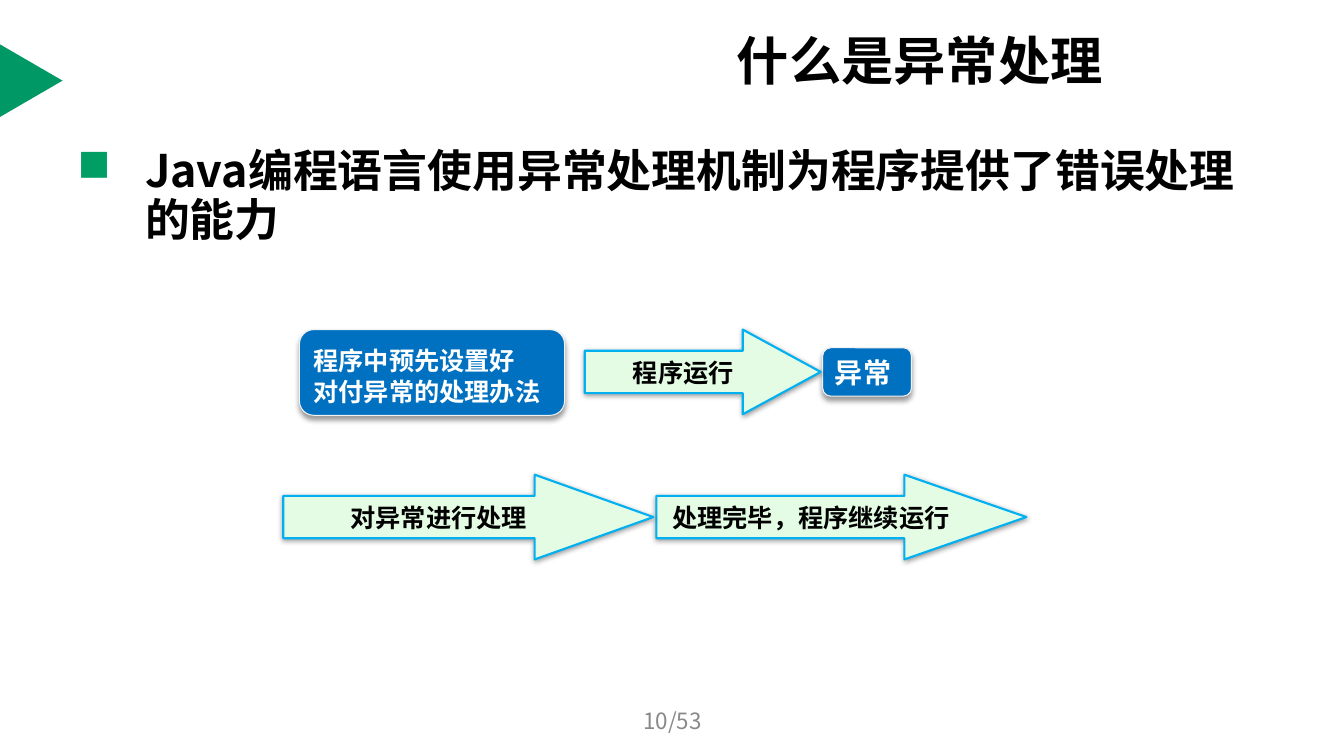
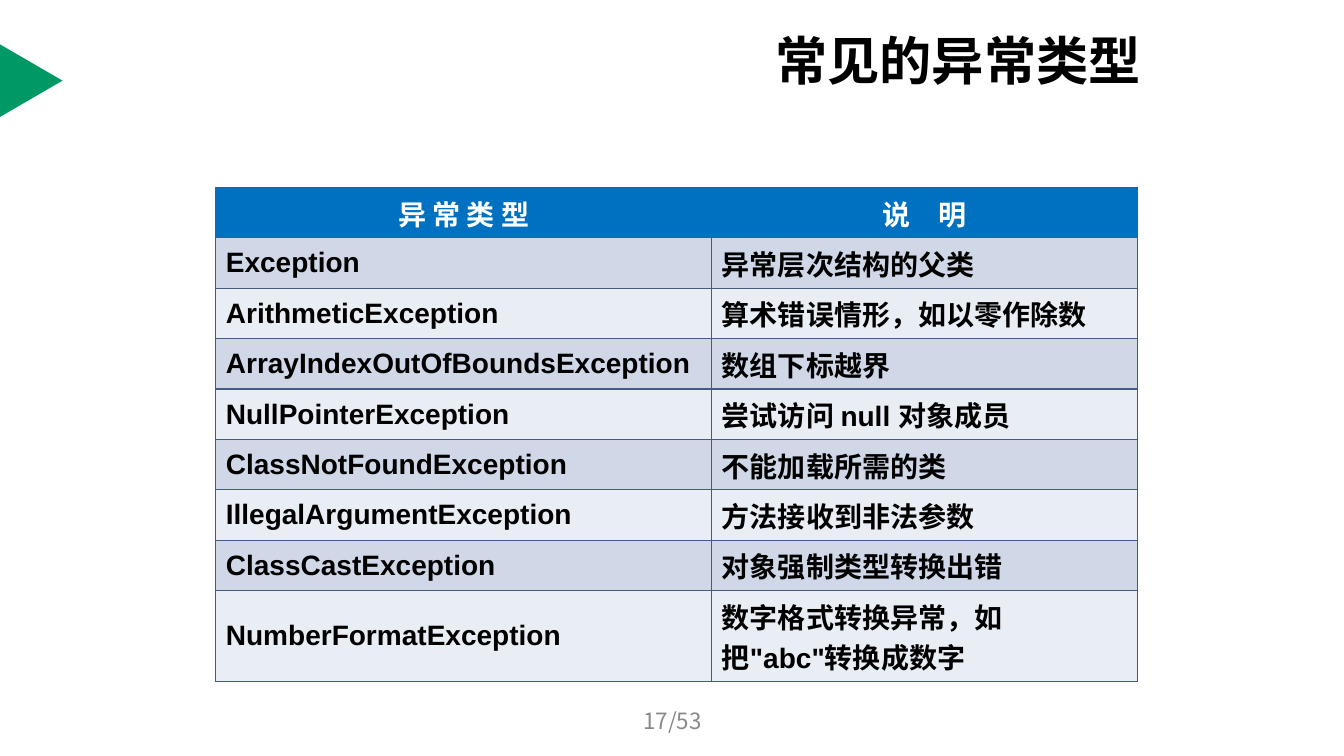
from typing import NamedTuple

from lxml import etree
from pptx import Presentation
from pptx.dml.color import RGBColor
from pptx.enum.shapes import MSO_SHAPE
from pptx.enum.text import MSO_ANCHOR, PP_ALIGN
from pptx.oxml import parse_xml
from pptx.oxml.ns import nsdecls, qn
from pptx.util import Inches, Pt

# Shared style
GREEN = RGBColor(0x00, 0x99, 0x66)
BLUE = RGBColor(0x00, 0x70, 0xC0)
SKY = RGBColor(0x00, 0xB0, 0xF0)
MINT = RGBColor(0xE4, 0xFC, 0xE4)
PALE = RGBColor(0xF2, 0xF2, 0xF2)
GREY = RGBColor(0x89, 0x89, 0x89)
BLACK = RGBColor(0x00, 0x00, 0x00)
WHITE = RGBColor(0xFF, 0xFF, 0xFF)
BANDS = (RGBColor(0xD0, 0xD8, 0xE8), RGBColor(0xE9, 0xED, 0xF4))
BULLET = "009E64"
BORDER = "415A86"
HAN, LATIN = "Noto Sans CJK SC", "Arial"
LEFT, CENTER = PP_ALIGN.LEFT, PP_ALIGN.CENTER
TOP, MIDDLE, BOTTOM = MSO_ANCHOR.TOP, MSO_ANCHOR.MIDDLE, MSO_ANCHOR.BOTTOM
ARROW, ROUND = MSO_SHAPE.RIGHT_ARROW, MSO_SHAPE.ROUNDED_RECTANGLE
TRIANGLE = MSO_SHAPE.ISOSCELES_TRIANGLE
PAGES = 53


class Box(NamedTuple):
    left: float
    top: float
    width: float
    height: float

    def place(self) -> list:
        return [Inches(side) for side in self]


class Look(NamedTuple):
    kind: int
    fill: RGBColor
    line: RGBColor
    weight: float
    drop: float
    ink: RGBColor
    align: int
    anchor: int


class Step(NamedTuple):
    look: Look
    box: Box
    adjust: float
    text: str
    size: float = 18


NOTE = Look(ROUND, BLUE, PALE, 0.75, 3, WHITE, LEFT, BOTTOM)
FLOW = Look(ARROW, MINT, SKY, 1.5, 1, BLACK, CENTER, MIDDLE)

STEPS = (
    Step(NOTE, Box(2.97, 3.27, 2.63, 0.85), 0.167,
         "程序中预先设置好\n对付异常的处理办法"),
    Step(NOTE, Box(8.16, 3.45, 0.88, 0.48), 0.167, "异常", 20),
    Step(FLOW, Box(5.8, 3.27, 2.34, 0.84), 0.92, "程序运行"),
    Step(FLOW, Box(6.51, 4.71, 3.67, 0.84), 1.44, "处理完毕，程序继续运行"),
    Step(FLOW, Box(2.81, 4.71, 3.67, 0.84), 1.4, "对异常进行处理"),
)

ROWS = (
    ("异 常 类 型", "说　明"),
    ("Exception", "异常层次结构的父类"),
    ("ArithmeticException", "算术错误情形，如以零作除数"),
    ("ArrayIndexOutOfBoundsException", "数组下标越界"),
    ("NullPointerException", "尝试访问 null 对象成员"),
    ("ClassNotFoundException", "不能加载所需的类"),
    ("IllegalArgumentException", "方法接收到非法参数"),
    ("ClassCastException", "对象强制类型转换出错"),
    ("NumberFormatException", '数字格式转换异常，如把"abc"转换成数字'),
)


def write(frame, text: str, *, size: float, color: RGBColor = BLACK,
          font: str = HAN, bold: bool = True, align: int = LEFT,
          space: float = 1.0, bullet: bool = False) -> None:
    """Fill a text frame, one paragraph a line."""
    frame.word_wrap = True
    for index, line in enumerate(text.split("\n")):
        para = frame.add_paragraph() if index else frame.paragraphs[0]
        para.alignment = align
        para.line_spacing = space
        if bullet:
            props = para._p.get_or_add_pPr()
            indent = Inches(0.67)
            props.set("marL", str(indent))
            props.set("indent", str(-indent))
            props.append(parse_xml(f'<a:buClr {nsdecls("a")}>'
                                   f'<a:srgbClr val="{BULLET}"/></a:buClr>'))
            props.append(parse_xml(f'<a:buChar {nsdecls("a")} char="■"/>'))
        run = para.add_run()
        run.text = line
        run.font.size = Pt(size)
        run.font.bold = bold
        run.font.name = font
        run.font.color.rgb = color
        east = etree.SubElement(run.font._element, qn("a:ea"))
        east.set("typeface", HAN)


def label(slide, box: Box, text: str, anchor: int = TOP, **style) -> None:
    frame = slide.shapes.add_textbox(*box.place()).text_frame
    frame.vertical_anchor = anchor
    write(frame, text, **style)


def shade(shape, drop: float) -> None:
    """Give a shape a soft shadow straight below it."""
    shape.shadow.inherit = False
    effects = shape._element.spPr.find(qn("a:effectLst"))
    effects.append(parse_xml(
        f'<a:outerShdw {nsdecls("a")} blurRad="{Pt(4)}" dist="{Pt(drop)}" '
        'dir="5400000" rotWithShape="0"><a:srgbClr val="000000">'
        '<a:alpha val="40000"/></a:srgbClr></a:outerShdw>'))


def draw(slide, step: Step) -> None:
    look = step.look
    shape = slide.shapes.add_shape(look.kind, *step.box.place())
    shape.adjustments[len(shape.adjustments) - 1] = step.adjust
    shape.fill.solid()
    shape.fill.fore_color.rgb = look.fill
    shape.line.color.rgb = look.line
    shape.line.width = Pt(look.weight)
    shade(shape, look.drop)
    shape.text_frame.vertical_anchor = look.anchor
    write(shape.text_frame, step.text, size=step.size, color=look.ink,
          font=LATIN, align=look.align)


def frame_cell(cell) -> None:
    props = cell._tc.get_or_add_tcPr()
    for side in ("lnL", "lnR", "lnT", "lnB"):
        props.append(parse_xml(
            f'<a:{side} {nsdecls("a")} w="{Pt(1)}"><a:solidFill>'
            f'<a:srgbClr val="{BORDER}"/></a:solidFill></a:{side}>'))


def add_grid(slide) -> None:
    widths = (4.92, 4.22)
    heights = [0.5] * (len(ROWS) - 1) + [0.9]
    box = Box(2.14, 1.86, sum(widths), sum(heights))
    grid = slide.shapes.add_table(len(ROWS), len(widths), *box.place()).table
    for col, width in zip(grid.columns, widths):
        col.width = Inches(width)
    for index, (texts, height) in enumerate(zip(ROWS, heights)):
        grid.rows[index].height = Inches(height)
        head = index == 0
        for cell, text in zip(grid.rows[index].cells, texts):
            frame_cell(cell)
            cell.fill.solid()
            cell.fill.fore_color.rgb = BLUE if head else BANDS[(index - 1) % 2]
            cell.vertical_anchor = TOP if head else MIDDLE
            write(cell.text_frame, text, size=20,
                  color=WHITE if head else BLACK,
                  font=HAN if head else LATIN,
                  align=CENTER if head else LEFT)


def add_page(deck, title: str, left: float, number: int):
    """Start a slide with its marker, title and page number."""
    slide = deck.slides.add_slide(deck.slide_layouts[6])
    mark = slide.shapes.add_shape(TRIANGLE, *Box(-0.05, 0.49, 0.72, 0.62).place())
    mark.rotation = 90
    mark.fill.solid()
    mark.fill.fore_color.rgb = GREEN
    mark.line.fill.background()
    mark.shadow.inherit = False
    label(slide, Box(left, 0.31, 11.47 - left, 0.57), title, MIDDLE, size=37.3)
    label(slide, Box(4.56, 6.95, 4.22, 0.4), f"{number}/{PAGES}", MIDDLE,
          size=16, color=GREY, bold=False, align=CENTER)
    return slide


def main() -> None:
    deck = Presentation()
    deck.slide_width, deck.slide_height = Inches(13.33), Inches(7.5)

    # What exception handling is
    slide = add_page(deck, "什么是异常处理", 7.21, 10)
    label(slide, Box(0.67, 1.43, 12, 5.27),
          "Java编程语言使用异常处理机制为程序提供了错误处理的能力",
          size=32, space=0.9, bullet=True)
    for step in STEPS:
        draw(slide, step)

    # Common exception types
    slide = add_page(deck, "常见的异常类型", 7.59, 17)
    add_grid(slide)

    deck.save("out.pptx")


if __name__ == "__main__":
    main()
